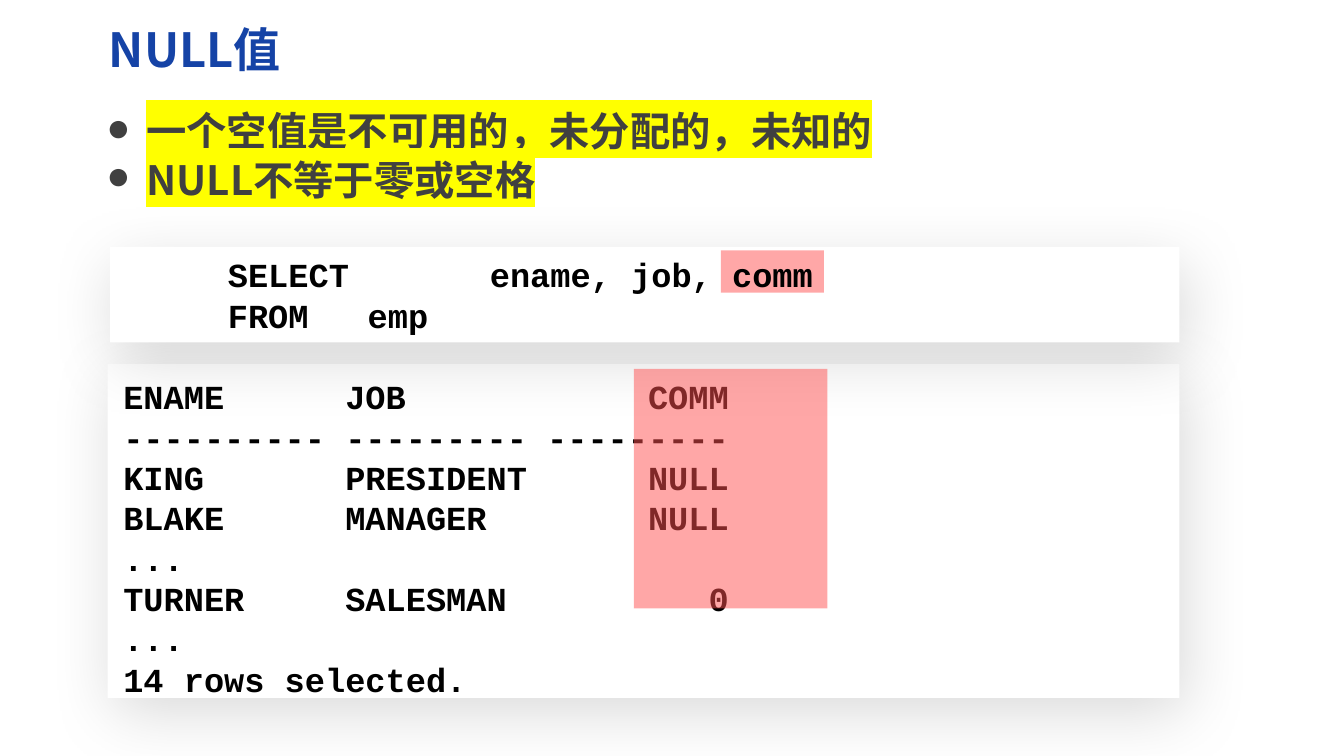
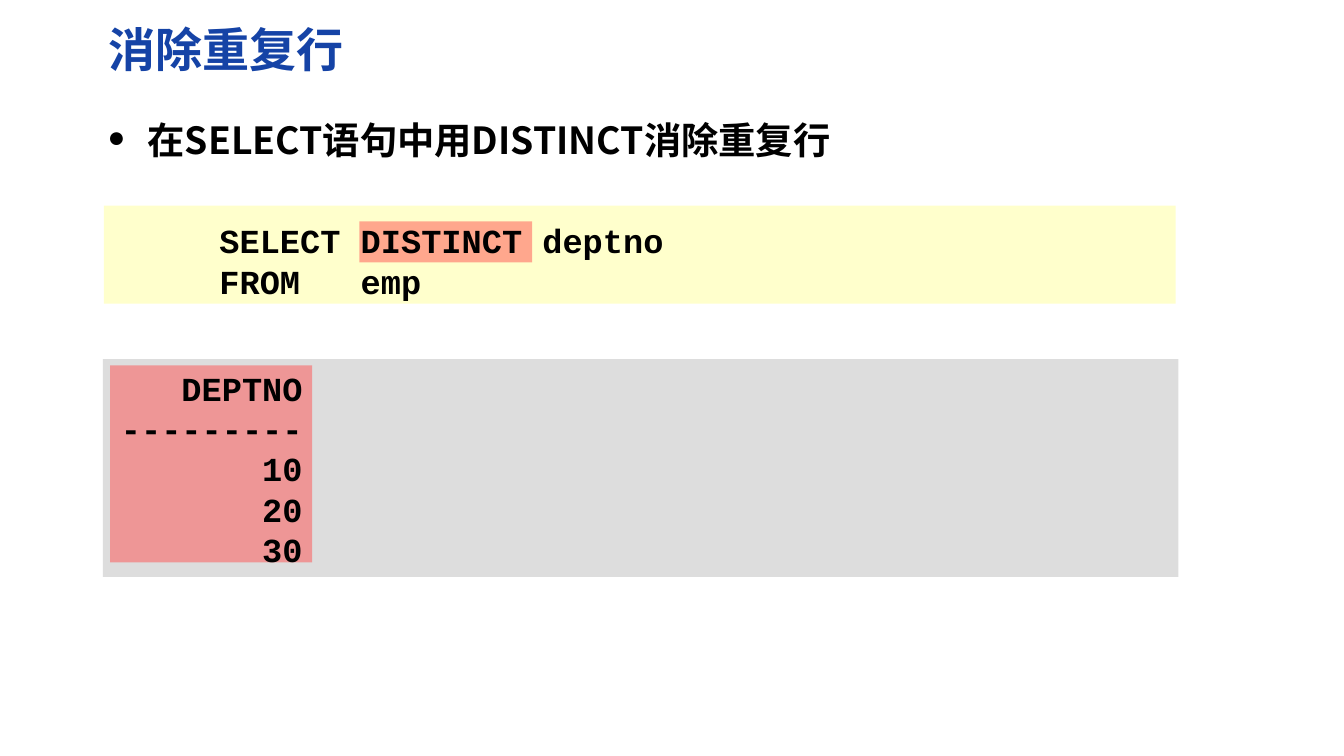
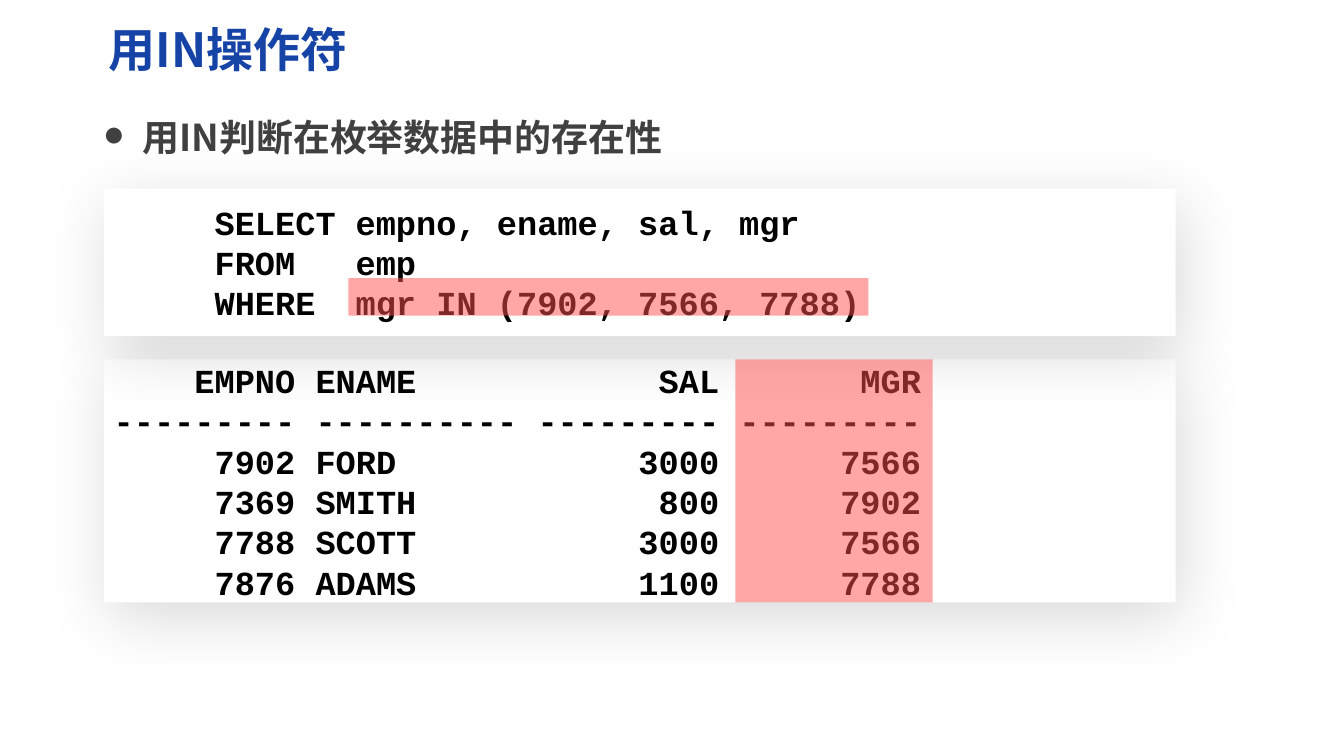
import pptx
import pptx.dml.color
import pptx.enum.shapes
import pptx.enum.text
import pptx.oxml
import pptx.oxml.ns
import pptx.util
from pptx.util import Inches

ANCHOR = pptx.enum.text.MSO_ANCHOR
NS = pptx.oxml.ns.nsdecls("a")


def color(hex_text):
    return pptx.dml.color.RGBColor.from_string(hex_text)


def add_xml(parent, xml):
    """Append a DrawingML fragment whose root carries the namespace mark."""
    tag, rest = xml.split(" NS", 1)
    parent.append(pptx.oxml.parse_xml(f"{tag} {NS}{rest}"))


class Deck:
    HEADING_FONT = "Noto Sans CJK SC"
    CODE_FONT = "Courier New"
    TITLE, BODY, CODE = "1543A6", "404040", "000000"
    WHITE, MARK, HIGHLIGHT = "FFFFFF", "FF5050", "FFFF00"

    def __init__(self):
        self.prs = pptx.Presentation()
        self.prs.slide_width, self.prs.slide_height = Inches(11.11), Inches(6.25)
        self.slide = None

    def new_slide(self, title):
        self.slide = self.prs.slides.add_slide(self.prs.slide_layouts[6])
        self.text([title], (0.79, 0.12, 9.81, 0.57), size=28,
                  fill=self.TITLE, anchor=ANCHOR.MIDDLE)

    def text(self, lines, at, size=20, font=HEADING_FONT, fill=CODE,
             anchor=ANCHOR.TOP, bullet=None, highlight=None, tabs=()):
        """Add bold lines; bullet is its size in percent, tabs are in inches."""
        frame = self.slide.shapes.add_textbox(*map(Inches, at)).text_frame
        frame.word_wrap = True
        frame.vertical_anchor = anchor
        frame.margin_left = frame.margin_right = Inches(0.11)
        frame.margin_top = frame.margin_bottom = Inches(0.06)
        for index, line in enumerate(lines):
            paragraph = frame.add_paragraph() if index else frame.paragraphs[0]
            properties = paragraph._p.get_or_add_pPr()
            if bullet:
                properties.set("marL", str(Inches(0.33)))
                properties.set("indent", str(Inches(-0.33)))
                add_xml(properties, f'<a:buSzPct NS val="{bullet * 1000}"/>')
                add_xml(properties, f'<a:buFont NS typeface="{self.CODE_FONT}"/>')
                add_xml(properties, '<a:buChar NS char="●"/>')
            if tabs:
                stops = "".join(f'<a:tab pos="{Inches(stop)}" algn="l"/>' for stop in tabs)
                add_xml(properties, f"<a:tabLst NS>{stops}</a:tabLst>")
            run = paragraph.add_run()
            run.text = line
            run.font.size = pptx.util.Pt(size)
            run.font.bold = True
            run.font.color.rgb = color(fill)
            style = run._r.get_or_add_rPr()
            if highlight:
                add_xml(style, f'<a:highlight NS><a:srgbClr val="{highlight}"/></a:highlight>')
            for script in ("latin", "ea"):
                add_xml(style, f'<a:{script} NS typeface="{font}"/>')

    def bullets(self, lines, at, size, **style):
        self.text(lines, at, size=size, **{"bullet": 100, "fill": self.BODY, **style})

    def code(self, lines, at, **style):
        self.text(lines, at, font=self.CODE_FONT, **style)

    def rectangle(self, at, fill):
        shape = self.slide.shapes.add_shape(
            pptx.enum.shapes.MSO_SHAPE.RECTANGLE, *map(Inches, at))
        shape.shadow.inherit = False
        shape.fill.solid()
        shape.fill.fore_color.rgb = color(fill)
        shape.line.fill.background()
        return shape

    def shadowed_panel(self, at):
        panel = self.rectangle(at, self.WHITE)
        effects = panel._element.spPr.find(pptx.oxml.ns.qn("a:effectLst"))
        add_xml(effects, f'<a:outerShdw NS blurRad="{pptx.util.Pt(40)}" '
                f'dist="{pptx.util.Pt(10)}" dir="{70 * 60000}" algn="ctr" rotWithShape="0">'
                '<a:srgbClr val="000000"><a:alpha val="15000"/></a:srgbClr></a:outerShdw>')

    def mark(self, at):
        """Add a half-transparent red rectangle."""
        shape = self.rectangle(at, self.MARK)
        rgb = shape._element.spPr.find(".//" + pptx.oxml.ns.qn("a:srgbClr"))
        add_xml(rgb, '<a:alpha NS val="50000"/>')


def null_values(deck):
    deck.new_slide("NULL值")
    deck.shadowed_panel((0.89, 3.01, 8.86, 2.76))
    deck.code(["ENAME      JOB            COMM",
               "---------- --------- ---------",
               "KING       PRESIDENT      NULL",
               "BLAKE      MANAGER        NULL",
               "...",
               "TURNER     SALESMAN          0",
               "...",
               "14 rows selected."], (0.91, 3.05, 8.83, 2.81))
    deck.shadowed_panel((0.91, 2.04, 8.84, 0.79))
    deck.bullets(["一个空值是不可用的，未分配的，未知的", "NULL不等于零或空格"],
                 (0.77, 0.82, 10.03, 1.04), 24, highlight=deck.HIGHLIGHT)
    deck.mark((5.96, 2.07, 0.85, 0.35))
    deck.mark((5.24, 3.05, 1.6, 1.98))
    deck.code(["     SELECT \tename, job, comm", "     FROM\t\temp"],
              (0.94, 2.03, 8.86, 0.81), anchor=ANCHOR.MIDDLE, tabs=(1.75, 1.99, 3))


def distinct_rows(deck):
    deck.new_slide("消除重复行")
    deck.rectangle((0.86, 1.7, 8.86, 0.81), "FFFFCC")
    deck.rectangle((0.85, 2.97, 8.89, 1.8), "DDDDDD")
    deck.bullets(["在SELECT语句中用DISTINCT消除重复行"], (0.78, 0.91, 8.95, 0.54), 22.2,
                 bullet=80, fill=deck.CODE)
    deck.mark((2.97, 1.83, 1.43, 0.34))
    deck.mark((0.91, 3.02, 1.67, 1.63))
    deck.code(["     SELECT DISTINCT deptno", "     FROM   emp"],
              (0.87, 1.79, 8.89, 0.73), anchor=ANCHOR.MIDDLE)
    deck.code(["   DEPTNO",
               "---------",
               "       10",
               "       20",
               "       30"], (0.89, 2.98, 8.86, 1.8))


def in_operator(deck):
    deck.new_slide("用IN操作符")
    deck.shadowed_panel((0.86, 2.97, 8.86, 2.01))
    deck.shadowed_panel((0.86, 1.56, 8.86, 1.22))
    deck.bullets(["用IN判断在枚举数据中的存在性"], (0.74, 0.89, 9.84, 0.52), 22)
    deck.code(["     SELECT\tempno, ename, sal, mgr",
               "     FROM \temp",
               "     WHERE\tmgr IN (7902, 7566, 7788)"],
              (0.83, 1.69, 8.89, 0.95), anchor=ANCHOR.MIDDLE, tabs=(2,))
    deck.code(["    EMPNO ENAME            SAL       MGR",
               "--------- ---------- --------- ---------",
               "     7902 FORD            3000      7566",
               "     7369 SMITH            800      7902",
               "     7788 SCOTT           3000      7566",
               "     7876 ADAMS           1100      7788"],
              (0.83, 2.97, 8.89, 2.01), anchor=ANCHOR.MIDDLE)
    deck.mark((2.88, 2.3, 4.3, 0.31))
    deck.mark((6.08, 2.97, 1.63, 2.01))


def main():
    deck = Deck()
    for build in (null_values, distinct_rows, in_operator):
        build(deck)
    deck.prs.save("out.pptx")


if __name__ == "__main__":
    main()
